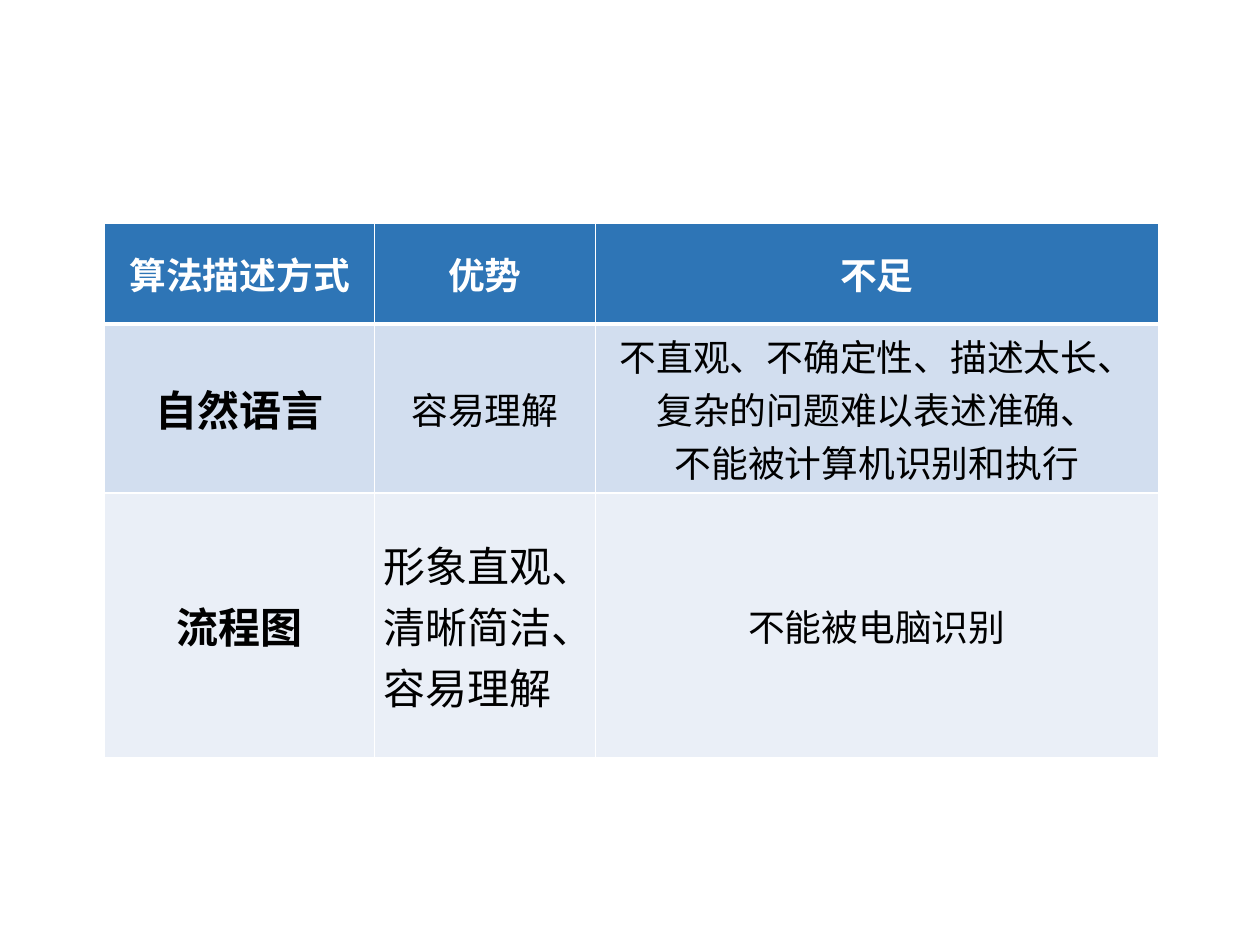
from lxml import etree
from pptx import Presentation
from pptx import util as u
from pptx.dml.color import RGBColor
from pptx.enum import text
from pptx.oxml import ns

WHITE = RGBColor(0xFF, 0xFF, 0xFF)
BLACK = RGBColor(0, 0, 0)
HEADER_BLUE = RGBColor(0x2E, 0x75, 0xB6)
ROW_FILLS = [HEADER_BLUE, RGBColor(0xD2, 0xDE, 0xEF), RGBColor(0xEA, 0xEF, 0xF7)]

COLUMN_WIDTHS = [5.44, 4.45, 11.35]
ROW_HEIGHTS = [2.03, 3.25, 5.33]
NORMAL, LARGE = 21, 24
CENTER, LEFT = text.PP_ALIGN.CENTER, text.PP_ALIGN.LEFT

# Each cell: wording, size, bold, alignment
COMPARISON = [
    [("算法描述方式", NORMAL, True, CENTER),
     ("优势", NORMAL, True, CENTER),
     ("不足", NORMAL, True, CENTER)],
    [("自然语言", LARGE, True, CENTER),
     ("容易理解", NORMAL, False, CENTER),
     ("不直观、不确定性、描述太长、\n复杂的问题难以表述准确、\n不能被计算机识别和执行",
      NORMAL, False, CENTER)],
    [("流程图", LARGE, True, CENTER),
     ("形象直观、清晰简洁、容易理解", LARGE, False, LEFT),
     ("不能被电脑识别", NORMAL, False, CENTER)],
]


class SlideBuilder:
    def __init__(self, slide, font):
        self.slide = slide
        self.font = font

    def table(self, left, top, widths, heights, rows):
        frame = self.slide.shapes.add_table(
            len(heights), len(widths), u.Cm(left), u.Cm(top),
            u.Cm(sum(widths)), u.Cm(sum(heights)))
        grid = frame.table
        for column, width in zip(grid.columns, widths):
            column.width = u.Cm(width)
        for row, height in zip(grid.rows, heights):
            row.height = u.Cm(height)
        for r, entries in enumerate(rows):
            for c, entry in enumerate(entries):
                color = BLACK if r else WHITE
                self.cell(grid.cell(r, c), entry, ROW_FILLS[r], color)
                self.borders(grid.cell(r, c), bottom=1 if r else 3)

    def cell(self, cell, entry, fill, color):
        wording, size, bold, alignment = entry
        cell.fill.solid()
        cell.fill.fore_color.rgb = fill
        cell.vertical_anchor = text.MSO_ANCHOR.MIDDLE
        cell.margin_left = cell.margin_right = u.Cm(0.19)
        cell.margin_top = cell.margin_bottom = u.Cm(0.1)
        cell.text_frame.text = wording
        for paragraph in cell.text_frame.paragraphs:
            paragraph.alignment = alignment
            for run in paragraph.runs:
                run.font.size = u.Pt(size)
                run.font.bold = bold
                run.font.name = self.font
                run.font.color.rgb = color
                east_asian = etree.SubElement(run.font._element, ns.qn("a:ea"))
                east_asian.set("typeface", self.font)
                run.font._element.find(ns.qn("a:latin")).addnext(east_asian)

    def borders(self, cell, bottom):
        """Draw white lines on all four sides, with widths in points."""
        properties = cell._tc.get_or_add_tcPr()
        for place, (side, width) in enumerate(
                [("L", 1), ("R", 1), ("T", 1), ("B", bottom)]):
            line = etree.Element(ns.qn(f"a:ln{side}"), w=str(u.Pt(width)))
            fill = etree.SubElement(line, ns.qn("a:solidFill"))
            etree.SubElement(fill, ns.qn("a:srgbClr"), val=str(WHITE))
            properties.insert(place, line)


def main():
    deck = Presentation()
    deck.slide_width, deck.slide_height = u.Cm(25.4), u.Cm(19.05)
    slide = deck.slides.add_slide(deck.slide_layouts[6])
    builder = SlideBuilder(slide, "Noto Sans CJK SC")
    builder.table(2.11, 4.5, COLUMN_WIDTHS, ROW_HEIGHTS, COMPARISON)
    deck.save("out.pptx")


if __name__ == "__main__":
    main()
